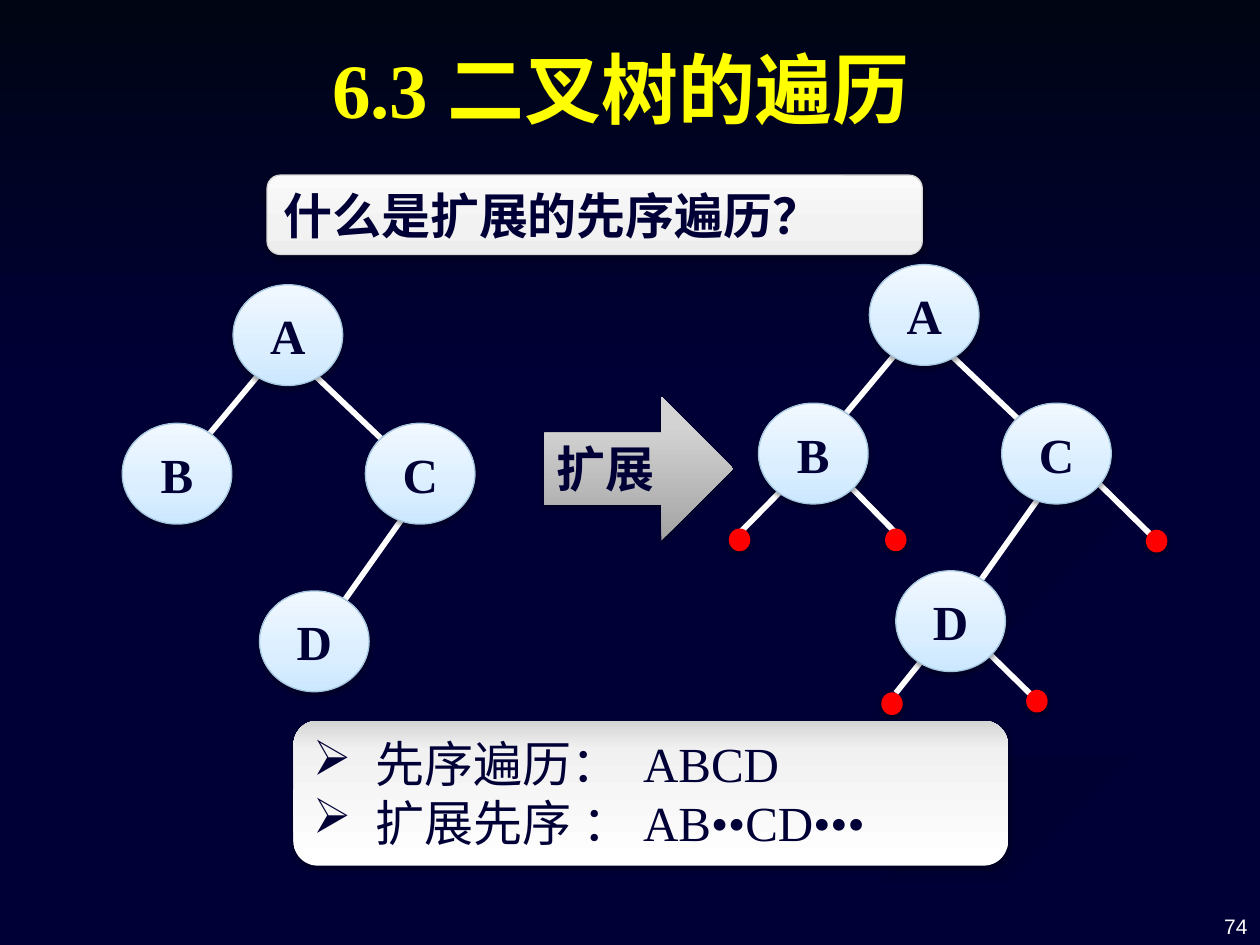
from lxml.etree import SubElement
from pptx import Presentation
from pptx.dml.color import RGBColor
from pptx.enum.shapes import MSO_CONNECTOR, MSO_SHAPE
from pptx.enum.text import MSO_ANCHOR, PP_ALIGN
from pptx.oxml.ns import qn
from pptx.util import Inches, Pt

NAVY, WHITE, RED, YELLOW = "000036", "FFFFFF", "FF0000", "FFFF00"
ICE = [(0, "CCE8FF"), (35, "DAEEFF"), (100, "F1F8FF")]
PALE = [(0, "EDEDED"), (35, "F2F2F2"), (100, "FAFAFA")]
GREY = [(0, "A3A3A3"), (80, "D3D3D3"), (100, "D4D4D4")]
SILVER = [(0, "FFFFFF"), (80, "F1F1F1"), (100, "D4D4D4")]
SKY = [(0, NAVY), (100, "000514")]

# Tree geometry, measured from the top left corner of the root node
NODE_W, NODE_H, DOT_W, DOT_H = 0.87, 0.8, 0.16, 0.17
NODES = {"A": (0, 0), "B": (-0.88, 1.1), "C": (1.05, 1.1), "D": (0.21, 2.43)}
EDGES = [(0.34, 0.55, -0.31, 1.33), (0.47, 0.55, 1.49, 1.52),
         (1.58, 1.52, 0.71, 2.75)]
STUBS = [(-0.44, 1.53, -1.03, 2.13), (-0.34, 1.57, 0.21, 2.13),
         (1.72, 1.64, 2.28, 2.19), (0.65, 2.85, 0.21, 3.4),
         (0.77, 2.91, 1.33, 3.46)]
DOTS = [(-1.11, 2.1), (0.13, 2.1), (2.2, 2.11), (0.1, 3.4), (1.25, 3.38)]

SWIRLS = [
    [(5.03, 7.49), (5.71, 7.49), (6.14, 7.26), (6.7, 7.02), (7.52, 6.72),
     (8.61, 6.4), (9.98, 6.09), (9.98, 5.81), (9.36, 6.02), (8.31, 6.29),
     (7.64, 6.47), (6.62, 6.81), (5.69, 7.19)],
    [(7.81, 4.6), (7.86, 4.74), (8.06, 4.87), (8.26, 4.96), (8.09, 4.84),
     (8.05, 4.72), (8.16, 4.59), (8.59, 4.43), (9.36, 4.29), (9.98, 4.2),
     (9.98, 4.02), (9.33, 4.15), (8.65, 4.24), (8.1, 4.37)],
    [(6.83, 4.3), (6.35, 4.4), (6.01, 4.56), (5.93, 4.7), (6.01, 4.85),
     (6.22, 5), (5.9, 4.84), (5.77, 4.62), (5.89, 4.41), (6.25, 4.26),
     (7.04, 4.09), (7.91, 3.92), (8.52, 3.74), (8.82, 3.54), (8.89, 3.35),
     (8.76, 3.06), (8.46, 2.79), (7.62, 2.33), (8.1, 2.56), (8.64, 2.91),
     (8.9, 3.24), (8.92, 3.54), (8.67, 3.84), (8.07, 4.07)],
]


def rgb(code):
    return RGBColor.from_string(code)


def paint(shape, fill, line=None):
    """Fill with one colour, or with stops that run from bottom to top."""
    shape.shadow.inherit = False
    if isinstance(fill, str):
        shape.fill.solid()
        shape.fill.fore_color.rgb = rgb(fill)
    else:
        shape.fill.gradient()
        shape.fill.gradient_angle = 90
        stops = next(shape._element.spPr.iter(qn("a:gsLst")))
        for old in list(stops):
            stops.remove(old)
        for pos, code in fill:
            stop = SubElement(stops, qn("a:gs"), pos=str(pos * 1000))
            SubElement(stop, qn("a:srgbClr"), val=code)
    if line:
        shape.line.color.rgb = rgb(line)
        shape.line.width = Pt(0.75)
    else:
        shape.line.fill.background()


def shade(shape):
    """Add a soft shadow straight below the shape."""
    effect = shape._element.spPr.find(qn("a:effectLst"))
    drop = SubElement(effect, qn("a:outerShdw"), blurRad=str(Pt(3.1)),
                      dist=str(Pt(1.6)), dir="5400000", rotWithShape="0")
    tone = SubElement(drop, qn("a:srgbClr"), val="000000")
    SubElement(tone, qn("a:alpha"), val="38000")


def block(slide, kind, box, fill, line=None):
    shape = slide.shapes.add_shape(kind, *map(Inches, box))
    paint(shape, fill, line)
    return shape


def style(par, size, color, bold=False, align=PP_ALIGN.LEFT,
          face="Times New Roman"):
    par.alignment = align
    par.font.name, par.font.size, par.font.bold = face, Pt(size), bold
    par.font.color.rgb = rgb(color)


def label(shape, text, anchor=MSO_ANCHOR.TOP, align=PP_ALIGN.LEFT):
    frame = shape.text_frame
    frame.text, frame.vertical_anchor = text, anchor
    style(frame.paragraphs[0], 28, NAVY, True, align)


def note(slide, box, text, anchor, **look):
    frame = slide.shapes.add_textbox(*map(Inches, box)).text_frame
    frame.word_wrap = True
    frame.text, frame.vertical_anchor = text, anchor
    style(frame.paragraphs[0], **look)


def bullets(shape, lines):
    frame = shape.text_frame
    frame.text, frame.vertical_anchor = "\n".join(lines), MSO_ANCHOR.TOP
    for par in frame.paragraphs:
        props = par._p.get_or_add_pPr()
        props.set("marL", str(Inches(0.5)))
        props.set("indent", str(Inches(-0.5)))
        SubElement(props, qn("a:buChar"), char="➢")
        tabs = SubElement(props, qn("a:tabLst"))
        SubElement(tabs, qn("a:tab"), pos=str(Inches(2.62)), algn="l")
        style(par, 28, NAVY)


def swirl(slide, points):
    pen = slide.shapes.build_freeform(*points[0], scale=Inches(1))
    pen.add_line_segments(points[1:])
    paint(pen.convert_to_shape(), "000032")


def edge(slide, ends):
    line = slide.shapes.add_connector(MSO_CONNECTOR.STRAIGHT,
                                      *map(Inches, ends))
    line.line.color.rgb = rgb(WHITE)
    line.line.width = Pt(3.25)
    SubElement(line._element.spPr, qn("a:effectLst"))


def tree(slide, left, top, edges, dots=()):
    for x1, y1, x2, y2 in edges:
        edge(slide, (left + x1, top + y1, left + x2, top + y2))
    for name, (x, y) in NODES.items():
        node = block(slide, MSO_SHAPE.OVAL,
                     (left + x, top + y, NODE_W, NODE_H), ICE, "A5C6DE")
        shade(node)
        label(node, name, MSO_ANCHOR.MIDDLE, PP_ALIGN.CENTER)
    for x, y in dots:
        shade(block(slide, MSO_SHAPE.OVAL,
                    (left + x, top + y, DOT_W, DOT_H), RED, RED))


def main():
    deck = Presentation()
    deck.slide_width, deck.slide_height = Inches(10), Inches(7.5)
    slide = deck.slides.add_slide(deck.slide_layouts[6])
    slide.background.fill.solid()
    slide.background.fill.fore_color.rgb = rgb(NAVY)
    for points in SWIRLS:
        swirl(slide, points)
    block(slide, MSO_SHAPE.RECTANGLE, (0, 0, 10, 3.08), SKY)

    note(slide, (0.43, 0.16, 9, 1.07), "6.3 二叉树的遍历", MSO_ANCHOR.MIDDLE,
         size=44, color=YELLOW, bold=True, align=PP_ALIGN.CENTER)
    note(slide, (7.67, 6.98, 2.33, 0.52), "74", MSO_ANCHOR.BOTTOM,
         size=12, color=WHITE, align=PP_ALIGN.RIGHT, face="Arial")

    ask = block(slide, MSO_SHAPE.ROUNDED_RECTANGLE, (2.12, 1.39, 5.2, 0.63),
                PALE, "D5D5D5")
    shade(ask)
    label(ask, "什么是扩展的先序遍历？")

    tree(slide, 1.85, 2.26, EDGES)
    tree(slide, 6.9, 2.1, EDGES + STUBS, DOTS)

    arrow = block(slide, MSO_SHAPE.RIGHT_ARROW, (4.32, 3.15, 1.5, 1.14), GREY)
    shade(arrow)
    label(arrow, "扩展")

    answer = block(slide, MSO_SHAPE.ROUNDED_RECTANGLE,
                   (2.33, 5.72, 5.67, 1.15), SILVER)
    shade(answer)
    bullets(answer, ["先序遍历：\tABCD", "扩展先序 ：\tAB••CD•••"])
    deck.save("out.pptx")


if __name__ == "__main__":
    main()
